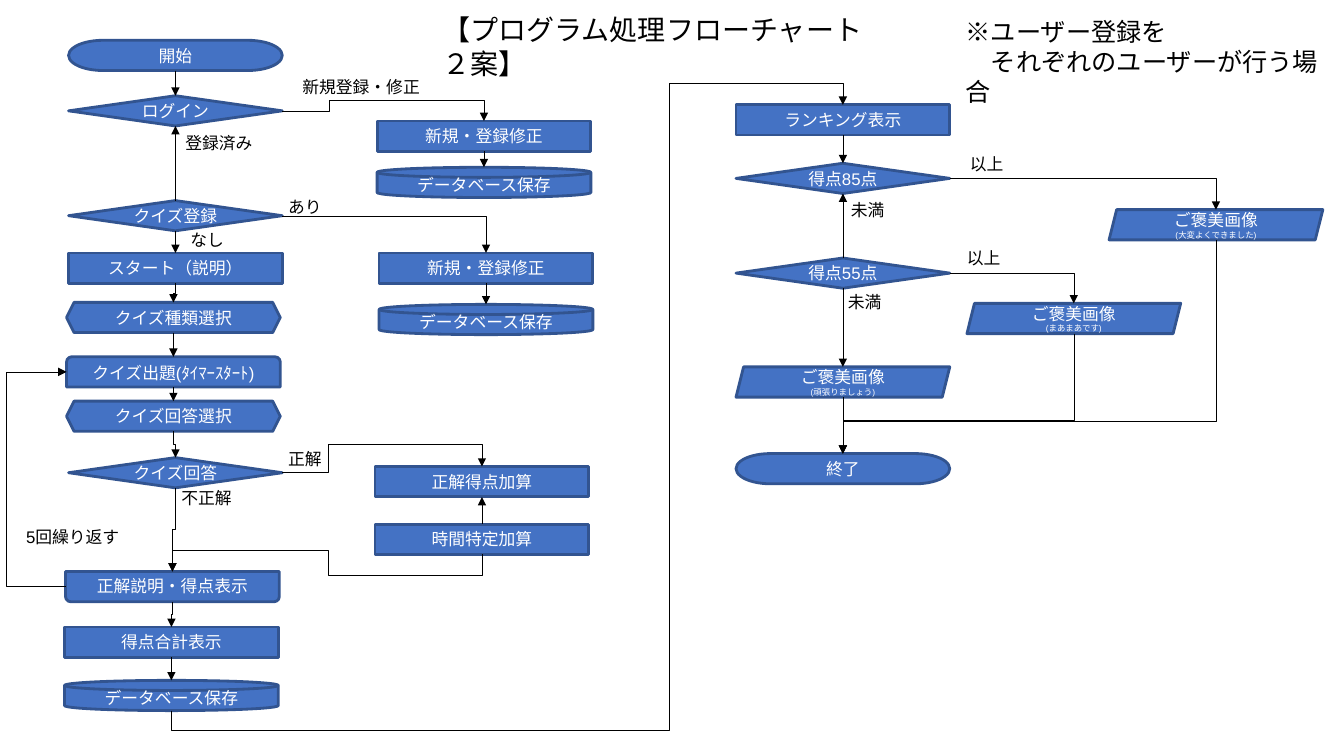
import dataclasses

import lxml.etree
import pptx
import pptx.dml.color
import pptx.enum.shapes
import pptx.enum.text
import pptx.oxml.ns
import pptx.util

KINDS = pptx.enum.shapes.MSO_SHAPE
LINES = pptx.enum.shapes.MSO_CONNECTOR
ALIGN = pptx.enum.text.PP_ALIGN
ANCHOR = pptx.enum.text.MSO_ANCHOR
AUTOSIZE = pptx.enum.text.MSO_AUTO_SIZE
TOP, LEFT, BOTTOM, RIGHT = range(4)
FOUR_SIDED = (KINDS.FLOWCHART_PROCESS, KINDS.FLOWCHART_DECISION, KINDS.FLOWCHART_TERMINATOR)
qn = pptx.oxml.ns.qn


def inches(value):
    return pptx.util.Cm(value * 2.54)


def color(code):
    return pptx.dml.color.RGBColor.from_string(code)


def set_values(target, values):
    for name, value in values.items():
        setattr(target, name, value)


@dataclasses.dataclass(frozen=True)
class Theme:
    fill: str = "4472C4"
    outline: str = "325490"
    light: str = "FFFFFF"
    dark: str = "000000"
    font: str = "Arial"
    title_font: str = "Calibri"
    title_size: int = 20
    note_size: int = 18
    body_size: int = 12
    detail_size: int = 6
    outline_width: float = 2
    arrow_width: float = 0.25
    box_width: float = 2.12
    box_height: float = 0.3


class Flowchart:
    def __init__(self, page, theme):
        self.page = page
        self.theme = theme

    def add_lines(self, frame, lines, sizes, code, font, alignment=None):
        for index, line in enumerate(lines):
            para = frame.paragraphs[0] if index == 0 else frame.add_paragraph()
            para.alignment = alignment
            span = para.add_run()
            span.text = line
            set_values(span.font, {"size": pptx.util.Pt(sizes[index]), "name": font})
            span.font.color.rgb = color(code)

    def box(self, kind, left, top, lines, adjustments=()):
        theme = self.theme
        box = self.page.shapes.add_shape(
            kind, inches(left), inches(top), inches(theme.box_width), inches(theme.box_height))
        for index, value in enumerate(adjustments):
            box.adjustments[index] = value
        box.shadow.inherit = False
        box.fill.solid()
        box.fill.fore_color.rgb = color(theme.fill)
        box.line.color.rgb = color(theme.outline)
        box.line.width = pptx.util.Pt(theme.outline_width)
        set_values(box.text_frame, {"word_wrap": True, "vertical_anchor": ANCHOR.MIDDLE})
        self.add_lines(box.text_frame, lines, (theme.body_size, theme.detail_size),
                       theme.light, theme.font, ALIGN.CENTER)
        return box

    def label(self, left, top, width, height, lines, size=None, font=None, wrap=True):
        theme = self.theme
        label = self.page.shapes.add_textbox(*map(inches, (left, top, width, height)))
        set_values(label.text_frame, {"word_wrap": wrap, "auto_size": AUTOSIZE.SHAPE_TO_FIT_TEXT})
        self.add_lines(label.text_frame, lines, [size or theme.body_size] * len(lines),
                       theme.dark, font or theme.font)

    def side_point(self, box, side):
        across = {LEFT: 0, RIGHT: 2}.get(side, 1)
        down = {TOP: 0, BOTTOM: 2}.get(side, 1)
        return box.left + box.width * across // 2, box.top + box.height * down // 2

    def link(self, source, source_side, target, target_side, bends=()):
        start = self.side_point(source, source_side)
        end = self.side_point(target, target_side)
        vertical = source_side in (TOP, BOTTOM)
        parallel = vertical == (target_side in (TOP, BOTTOM))
        straight = parallel and not bends and abs(end[0] - start[0]) < inches(0.005)
        style = LINES.STRAIGHT if straight else LINES.ELBOW
        arrow = self.page.shapes.add_connector(style, *start, *end)
        if straight:
            if source.auto_shape_type in FOUR_SIDED:
                arrow.begin_connect(source, source_side)
            if target.auto_shape_type in FOUR_SIDED:
                arrow.end_connect(target, target_side)
        else:
            self.route(arrow, start, end, vertical, parallel, [inches(bend) for bend in bends])
        arrow.line.color.rgb = color(self.theme.dark)
        arrow.line.width = pptx.util.Pt(self.theme.arrow_width)
        properties = arrow._element.spPr
        lxml.etree.SubElement(properties.find(qn("a:ln")), qn("a:tailEnd"), type="triangle")
        lxml.etree.SubElement(properties, qn("a:effectLst"))

    def route(self, arrow, start, end, vertical, parallel, bends):
        delta = end[0] - start[0], end[1] - start[1]
        if parallel and not bends:
            bends = [start[vertical] + delta[vertical] // 2]
        run, rise = (delta[1], -delta[0]) if vertical else delta
        width, height = abs(run), abs(rise)
        set_values(arrow, {
            "left": (start[0] + end[0] - width) // 2,
            "top": (start[1] + end[1] - height) // 2,
            "width": width,
            "height": height,
            "rotation": 90 if vertical else 0,
        })
        frame = arrow._element.spPr.find(qn("a:xfrm"))
        frame.set("flipH", str(int(run < 0)))
        frame.set("flipV", str(int(rise < 0)))
        geometry = arrow._element.spPr.find(qn("a:prstGeom"))
        geometry.set("prst", f"bentConnector{len(bends) + 2}")
        guides = geometry.find(qn("a:avLst"))
        for index, bend in enumerate(bends):
            axis = (vertical + index) % 2
            share = round((bend - start[axis]) / delta[axis] * 100000)
            lxml.etree.SubElement(
                guides, qn("a:gd"), name=f"adj{index + 1}", fmla=f"val {share}")


def main():
    deck = pptx.Presentation()
    set_values(deck, {"slide_width": inches(13.33), "slide_height": inches(7.5)})
    theme = Theme()
    chart = Flowchart(deck.slides.add_slide(deck.slide_layouts[6]), theme)
    terminator, decision = KINDS.FLOWCHART_TERMINATOR, KINDS.FLOWCHART_DECISION
    process, disk = KINDS.FLOWCHART_PROCESS, KINDS.FLOWCHART_MAGNETIC_DISK
    hexagon, rounded = KINDS.HEXAGON, KINDS.ROUND_2_SAME_RECTANGLE
    reward = KINDS.PARALLELOGRAM

    steps = {
        "start": (terminator, 0.68, 0.4, ["開始"]),
        "login": (decision, 0.68, 0.95, ["ログイン"]),
        "user_edit": (process, 3.74, 1.2, ["新規・登録修正"]),
        "user_store": (disk, 3.74, 1.66, ["データベース保存"]),
        "quiz_entry": (decision, 0.68, 1.99, ["クイズ登録"]),
        "guide": (process, 0.68, 2.51, ["スタート（説明）"]),
        "quiz_edit": (process, 3.76, 2.51, ["新規・登録修正"]),
        "quiz_store": (disk, 3.76, 3.02, ["データベース保存"]),
        "quiz_type": (hexagon, 0.66, 3, ["クイズ種類選択"]),
        "question": (rounded, 0.66, 3.54, ["クイズ出題(ﾀｲﾏｰｽﾀｰﾄ)"], (0.17, 0)),
        "choice": (hexagon, 0.66, 3.98, ["クイズ回答選択"]),
        "answer": (decision, 0.68, 4.54, ["クイズ回答"]),
        "add_score": (process, 3.72, 4.63, ["正解得点加算"]),
        "add_time": (process, 3.72, 5.2, ["時間特定加算"]),
        "explain": (rounded, 0.65, 5.67, ["正解説明・得点表示"], (0, 0.17)),
        "total": (process, 0.64, 6.22, ["得点合計表示"]),
        "total_store": (disk, 0.64, 6.75, ["データベース保存"]),
        "ranking": (process, 7.3, 1.04, ["ランキング表示"]),
        "score_85": (decision, 7.3, 1.62, ["得点85点"]),
        "score_55": (decision, 7.3, 2.56, ["得点55点"]),
        "great": (reward, 11, 2.08, ["ご褒美画像", "(大変よくできました)"]),
        "fair": (reward, 9.59, 3.01, ["ご褒美画像", "(まあまあです)"]),
        "effort": (reward, 7.3, 3.64, ["ご褒美画像", "(頑張りましょう)"]),
        "finish": (terminator, 7.3, 4.5, ["終了"]),
    }
    boxes = {name: chart.box(*step) for name, step in steps.items()}

    downward = (
        ("start", "login"), ("user_edit", "user_store"), ("quiz_entry", "guide"),
        ("guide", "quiz_type"), ("quiz_type", "question"), ("question", "choice"),
        ("choice", "answer"), ("answer", "explain"), ("quiz_edit", "quiz_store"),
        ("explain", "total"), ("total", "total_store"), ("ranking", "score_85"),
        ("score_55", "effort"), ("effort", "finish"),
        ("add_time", "explain", (5.71, 3.25, 5.46)),
        ("total_store", "ranking", (7.25, 6.64, 0.83)),
        ("fair", "finish", (4.17,)), ("great", "finish", (4.18,)),
    )
    upward = (("quiz_entry", "login"), ("add_time", "add_score"), ("score_55", "score_85"))
    branches = (
        ("login", "user_edit", (3.27, 0.99)), ("quiz_entry", "quiz_edit"),
        ("answer", "add_score", (3.26, 4.41)), ("score_85", "great"), ("score_55", "fair"),
    )
    repeat = (("explain", "question", (0.05,)),)
    for links, source_side, target_side in (
            (downward, BOTTOM, TOP), (upward, TOP, BOTTOM),
            (branches, RIGHT, TOP), (repeat, LEFT, LEFT)):
        for source, target, *bends in links:
            chart.link(boxes[source], source_side, boxes[target], target_side, *bends)

    for left, top, width, text in (
            (2.9, 0.71, 1.49, "新規登録・修正"), (1.74, 1.27, 0.96, "登録済み"),
            (2.76, 1.9, 1.49, "あり"), (1.79, 2.23, 0.8, "なし"),
            (2.76, 4.4, 1.49, "正解"), (1.7, 4.79, 0.8, "不正解"),
            (0.16, 5.18, 1.17, "5回繰り返す"), (9.52, 1.48, 1.49, "以上"),
            (8.34, 1.93, 1.49, "未満"), (9.49, 2.41, 1.49, "以上"),
            (8.31, 2.85, 1.49, "未満")):
        chart.label(left, top, width, 0.3, [text])
    chart.label(4.29, 0.08, 4.5, 0.43, ["【プログラム処理フローチャート２案】"],
                theme.title_size, theme.title_font)
    chart.label(9.48, 0.11, 3.94, 0.82, ["※ユーザー登録を", "　それぞれのユーザーが行う場合"],
                theme.note_size, wrap=False)
    deck.save("out.pptx")


if __name__ == "__main__":
    main()
